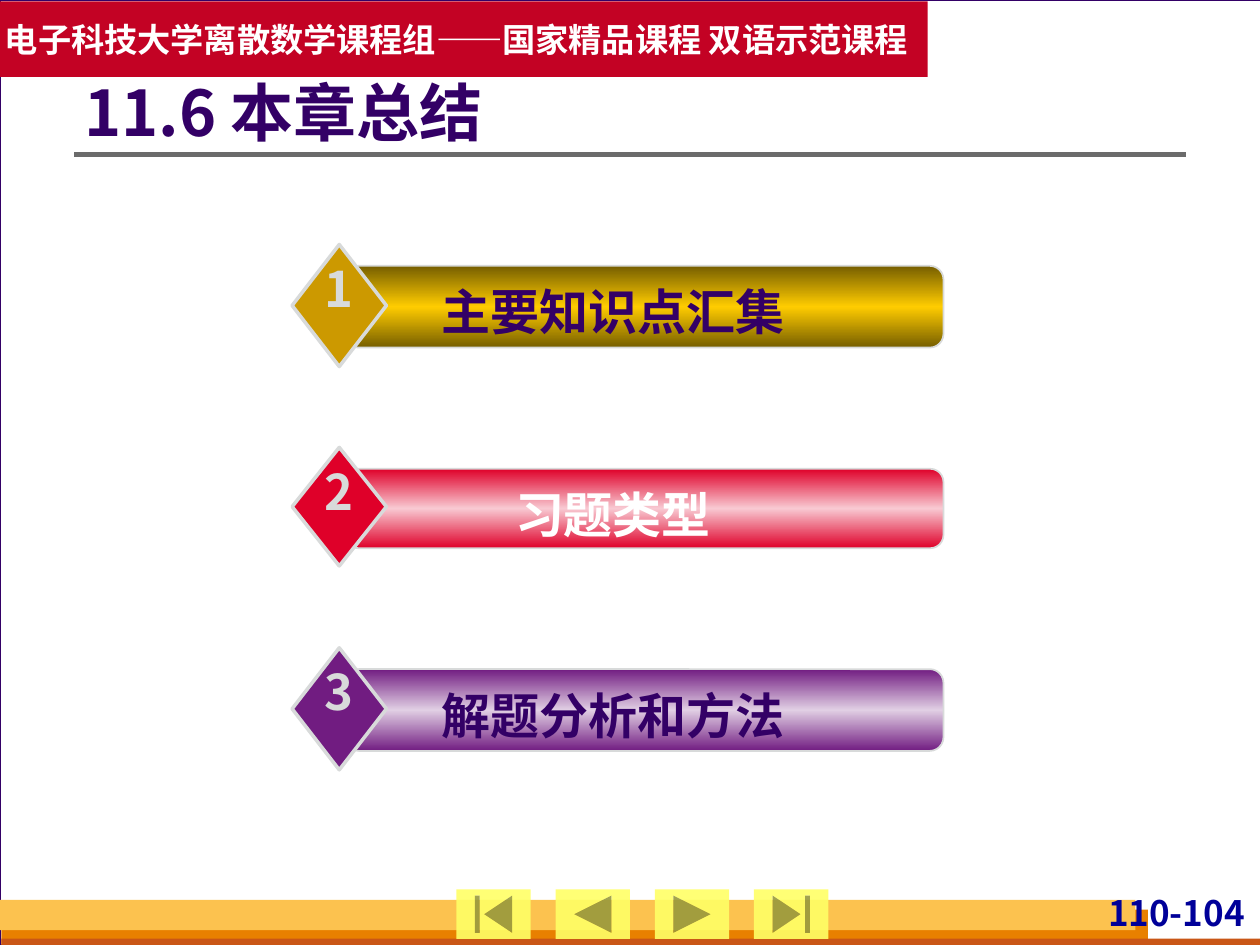
from copy import deepcopy

from lxml import etree
from pptx import Presentation
from pptx import util as u
from pptx.dml.color import RGBColor
from pptx.enum import shapes, text
from pptx.oxml.ns import qn

FONT = "Noto Sans CJK SC"
COLORS = {
    "white": "FFFFFF", "indigo": "330066", "silver": "D8DADA", "navy": "000099",
    "rule": "6B6B6B", "banner": "C30224", "button": "FFFF66",
    "amber": "FCC24F", "orange": "E88000", "rust": "C95616",
    "gold": "CC9900", "gold_edge": "765E00", "gold_glow": "FFCC00",
    "red": "DF0029", "red_glow": "F8C9D2",
    "purple": "711C81", "purple_glow": "E1CFE4",
}
KIND = shapes.MSO_SHAPE

# top, height, label, label colour, diamond, bar edge, bar middle
TOPICS = [
    (4.93, 2.46, "主要知识点汇集", "indigo", "gold", "gold_edge", "gold_glow"),
    (9.02, 2.39, "习题类型", "white", "red", "red", "red_glow"),
    (13.06, 2.46, "解题分析和方法", "indigo", "purple", "purple", "purple_glow"),
]


def rgb(name):
    return RGBColor.from_string(COLORS[name])


def cm_box(*lengths):
    return [u.Cm(length) for length in lengths]


def add_block(parent, kind, box, fill, line=None, width=1):
    block = parent.add_shape(kind, *cm_box(*box))
    block.shadow.inherit = False
    block.fill.solid()
    block.fill.fore_color.rgb = rgb(fill)
    if line:
        block.line.color.rgb = rgb(line)
        block.line.width = u.Pt(width)
    else:
        block.line.fill.background()
    return block


def write(holder, words, *, size, color, align="LEFT", anchor="MIDDLE",
          insets=(0, 0, 0, 0), wrap=True, spacing=None, grow=False):
    frame = holder.text_frame
    frame.word_wrap = wrap
    frame.vertical_anchor = text.MSO_ANCHOR[anchor]
    (frame.margin_left, frame.margin_top,
     frame.margin_right, frame.margin_bottom) = cm_box(*insets)
    if grow:
        frame.auto_size = text.MSO_AUTO_SIZE.SHAPE_TO_FIT_TEXT
    paragraph = frame.paragraphs[0]
    paragraph.alignment = text.PP_ALIGN[align]
    paragraph.line_spacing = spacing
    run = paragraph.add_run()
    run.text = words
    run.font.size = u.Pt(size)
    run.font.bold = True
    run.font.name = FONT
    run.font.color.rgb = rgb(color)
    etree.SubElement(run.font._element, qn("a:ea"), typeface=FONT)


def shade_bar(bar, edge, middle):
    """Fill the bar with a vertical gradient, the same at both edges."""
    bar.fill.gradient()
    bar.fill.gradient_angle = 90
    stops = bar._element.spPr.find(".//" + qn("a:gsLst"))
    stops.insert(1, deepcopy(stops[0]))
    for stop, position, color in zip(bar.fill.gradient_stops, (0, 0.5, 1),
                                     (edge, middle, edge)):
        stop.position = position
        stop.color.rgb = rgb(color)


def add_banner(slide, left, top, width, height):
    banner = add_block(slide.shapes, KIND.RECTANGLE, (left, top, width, height), "banner")
    write(banner, "电子科技大学离散数学课程组——国家精品课程 双语示范课程",
          size=19, color="white", insets=(0.1, 0.13, 0.1, 0.13), wrap=False)


def add_heading(slide, left, top, width, height):
    heading = slide.shapes.add_textbox(*cm_box(left, top, width, height))
    write(heading, "11.6 本章总结", size=36, color="indigo",
          insets=(0, 0.13, 0.25, 0.13), spacing=0.9)
    rule_y = top + 1.77
    rule = slide.shapes.add_connector(
        shapes.MSO_CONNECTOR.STRAIGHT,
        *cm_box(left - 0.2, rule_y, left + width + 0.15, rule_y))
    rule.line.color.rgb = rgb("rule")
    rule.line.width = u.Pt(3)
    etree.SubElement(rule._element.spPr, qn("a:effectLst"))


def add_topic(slide, left, top, height, number, label, label_color, diamond, edge, middle):
    topic = slide.shapes.add_group_shape().shapes
    bar = add_block(topic, KIND.ROUNDED_RECTANGLE,
                    (left + 1.07, top + 0.43, 12.06, height * 0.67), edge, "silver")
    shade_bar(bar, edge, middle)
    add_block(topic, KIND.DIAMOND, (left, top, 1.9, height), diamond, "silver", 2)
    for words, color, dx, dy, width in ((label, label_color, 1.7, 0.75, 9.53),
                                        (number, "silver", 0.43, 0.28, 1.02)):
        caption = topic.add_textbox(*cm_box(left + dx, top + dy, width, 1.19))
        write(caption, words, size=28, color=color, align="CENTER", grow=True)


def add_navigation(slide, left, top, width, height, pitch):
    kinds = (KIND.ACTION_BUTTON_BEGINNING, KIND.ACTION_BUTTON_BACK_OR_PREVIOUS,
             KIND.ACTION_BUTTON_FORWARD_OR_NEXT, KIND.ACTION_BUTTON_END)
    for i, kind in enumerate(kinds):
        button = add_block(slide.shapes, kind, (left + i * pitch, top, width, height), "button")
        color = button._element.spPr.find(".//" + qn("a:srgbClr"))
        etree.SubElement(color, qn("a:alpha"), val="90000")


def add_footer(slide, left, top, width):
    for dx, dy, strip_width, height, color in ((0.03, 0.2, 23.11, 0.71, "orange"),
                                               (0.03, 0.78, width, 0.2, "rust"),
                                               (0, 0, 22.89, 0.61, "amber")):
        add_block(slide.shapes, KIND.RECTANGLE,
                  (left + dx, top + dy, strip_width, height), color)
    page = slide.shapes.add_textbox(*cm_box(left + 22.1, top - 0.16, 3.1, 0.97))
    write(page, "110-104", size=20, color="navy", align="RIGHT", anchor="TOP",
          insets=(0.1, 0, 0.1, 0), grow=True)
    add_navigation(slide, left + 9.2, top - 0.21, 1.5, 1, pitch=2)


def main():
    deck = Presentation()
    deck.slide_width, deck.slide_height = cm_box(25.4, 19.05)
    slide = deck.slides.add_slide(deck.slide_layouts[6])
    slide.background.fill.solid()
    slide.background.fill.fore_color.rgb = rgb("silver")
    add_block(slide.shapes, KIND.RECTANGLE, (0, 0, 25.43, 19.05), "white", "indigo", 0.75)
    add_footer(slide, 0, 18.14, 25.4)
    add_banner(slide, 0, 0.03, 18.7, 1.52)
    add_heading(slide, 1.7, 1.35, 22.05, 1.98)
    for number, (top, height, *details) in enumerate(TOPICS, 1):
        add_topic(slide, 5.89, top, height, str(number), *details)
    deck.save("out.pptx")


if __name__ == "__main__":
    main()
